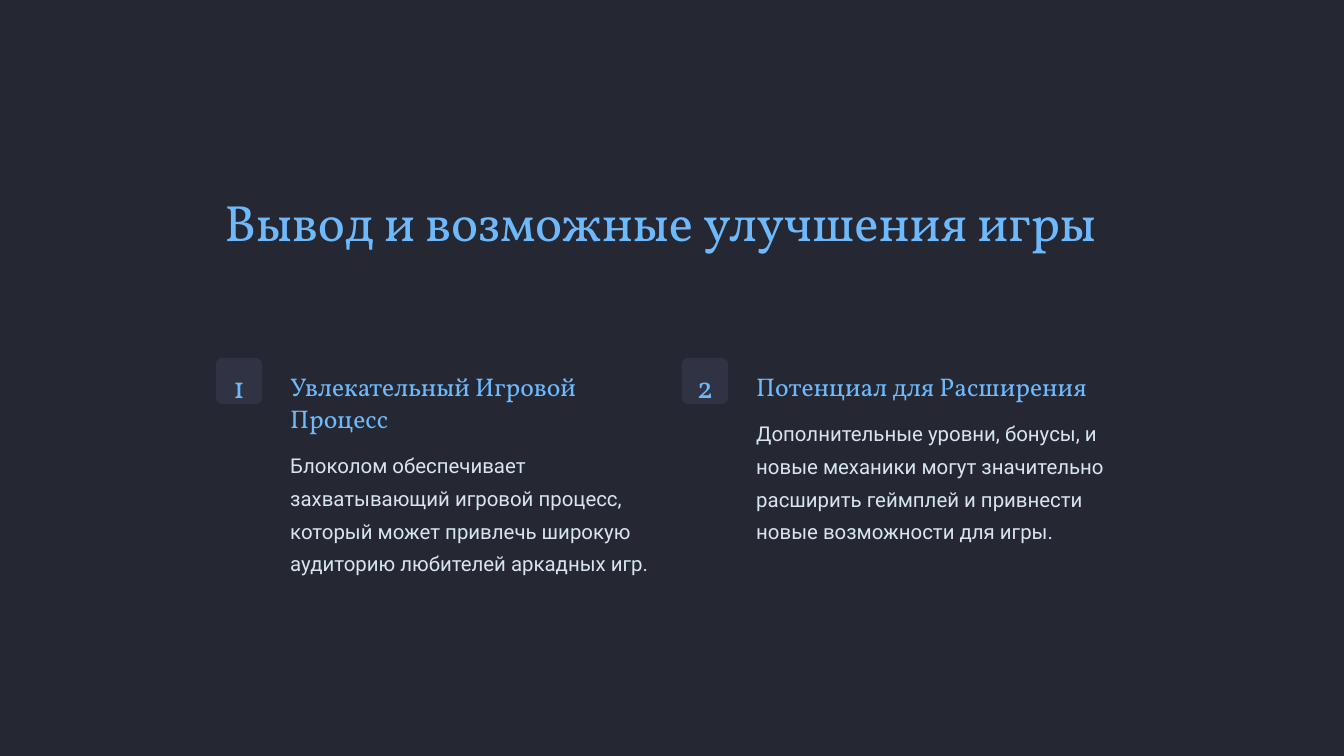
from pptx import Presentation
from pptx.dml.color import RGBColor
from pptx.enum.shapes import MSO_SHAPE as Shape
from pptx.enum.text import MSO_ANCHOR as Anchor, MSO_AUTO_SIZE as AutoSize, PP_ALIGN as Align
from pptx.util import Pt

PX = 914400 / 84
COLORS = {"background": "252833", "badge": "2F3343", "accent": "6EB9FC", "body": "D6E5EF"}


def px(*lengths):
    return [round(length * PX) for length in lengths]


def write(box, text, font, size, leading, color, align=Align.LEFT, wrap=True):
    """Fill a text box or placeholder with one top-anchored paragraph."""
    frame = box.text_frame
    frame.word_wrap = wrap
    frame.auto_size = AutoSize.NONE
    frame.vertical_anchor = Anchor.TOP
    paragraph = frame.paragraphs[0]
    paragraph.alignment = align
    paragraph.line_spacing = Pt(leading)
    run = paragraph.add_run()
    run.text = text
    run.font.name = font
    run.font.size = Pt(size)
    run.font.color.rgb = RGBColor.from_string(COLORS[color])


deck = Presentation()
deck.slide_width, deck.slide_height = px(1344, 756)
slide = deck.slides.add_slide(deck.slide_layouts[5])
shapes = slide.shapes
slide.background.fill.solid()
slide.background.fill.fore_color.rgb = RGBColor.from_string(COLORS["background"])

title = shapes.title
title.left, title.top, title.width, title.height = px(216, 184, 912, 128)
write(title, "Вывод и возможные улучшения игры", "Vollkorn", 43.7, 54.7, "accent")

# Heading, number of heading lines, body
conclusions = [
    ("Увлекательный Игровой Процесс", 2,
     "Блоколом обеспечивает захватывающий игровой процесс, который может "
     "привлечь широкую аудиторию любителей аркадных игр."),
    ("Потенциал для Расширения", 1,
     "Дополнительные уровни, бонусы, и новые механики могут значительно "
     "расширить геймплей и привнести новые возможности для игры."),
]
BADGE_SIZE, COLUMN_STEP, TEXT_OFFSET, TEXT_WIDTH = 46, 466, 66, 380
HEADING_TOP, HEADING_LINE, BODY_GAP = 366, 32, 11

for index, (heading, heading_lines, body) in enumerate(conclusions):
    left = 216 + index * COLUMN_STEP
    text_left = left + TEXT_OFFSET
    heading_height = heading_lines * HEADING_LINE
    body_top = HEADING_TOP + heading_height + BODY_GAP

    badge = shapes.add_shape(Shape.ROUNDED_RECTANGLE, *px(left, 358, BADGE_SIZE, BADGE_SIZE))
    badge.adjustments[0] = 0.13
    badge.shadow.inherit = False
    badge.fill.solid()
    badge.fill.fore_color.rgb = RGBColor.from_string(COLORS["badge"])
    badge.line.fill.background()

    number_box = shapes.add_textbox(*px(left, 362, BADGE_SIZE, 39))
    write(number_box, str(index + 1), "Vollkorn", 26.2, 32.8, "accent", Align.CENTER, wrap=False)

    heading_box = shapes.add_textbox(*px(text_left, HEADING_TOP, TEXT_WIDTH, heading_height))
    write(heading_box, heading, "Vollkorn", 21.9, 27.3, "accent")

    body_box = shapes.add_textbox(*px(text_left, body_top, TEXT_WIDTH, 130))
    write(body_box, body, "Roboto", 17.5, 28, "body")

deck.save("out.pptx")
